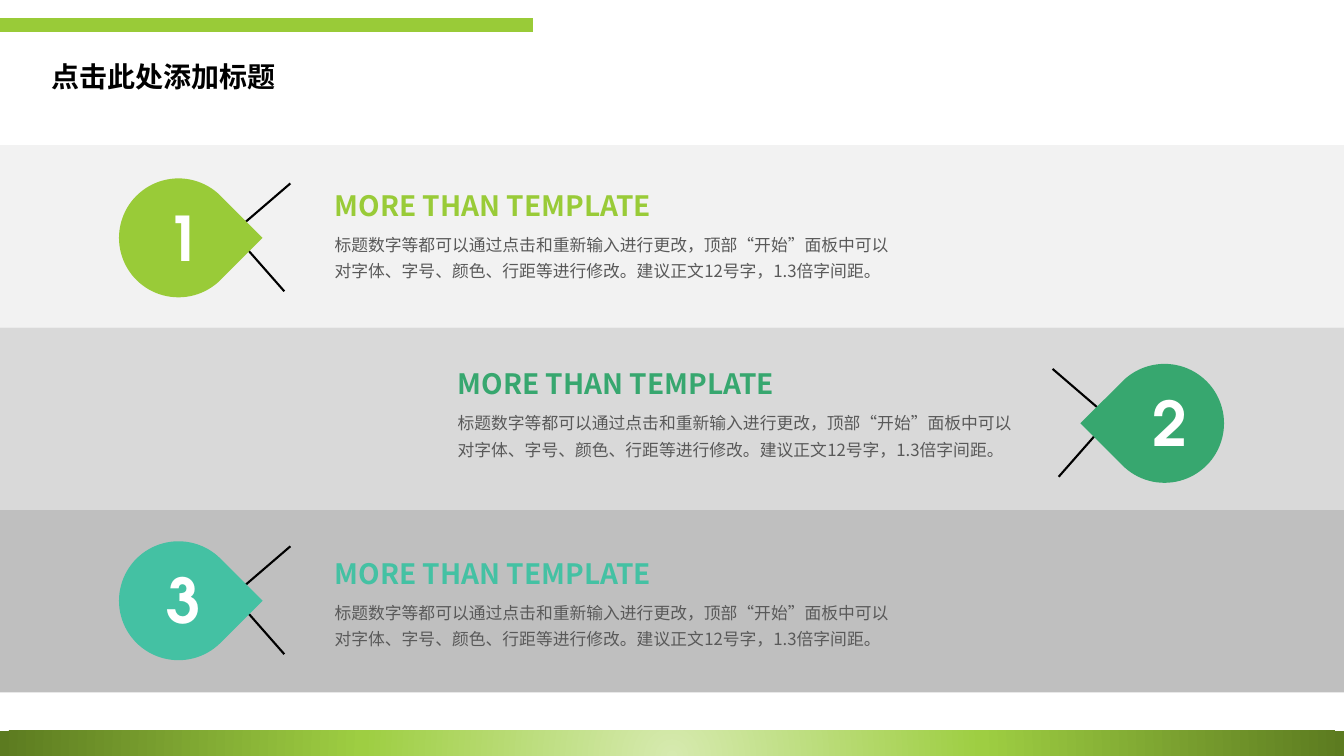
import pptx
import pptx.util
import pptx.dml.color
import pptx.enum.shapes
import pptx.enum.text
import pptx.oxml
import pptx.oxml.ns
from lxml import etree

RGB = pptx.dml.color.RGBColor
Inches, Pt = pptx.util.Inches, pptx.util.Pt
SHAPE = pptx.enum.shapes.MSO_SHAPE
ANCHOR = pptx.enum.text.MSO_ANCHOR
qn = pptx.oxml.ns.qn

LIME = RGB(0x99, 0xCB, 0x38)
GREEN = RGB(0x37, 0xA7, 0x6F)
TEAL = RGB(0x44, 0xC1, 0xA3)
BLACK = RGB(0, 0, 0)
WHITE = RGB(255, 255, 255)
GREY = RGB(0x59, 0x59, 0x59)
SANS, ROUND = "Noto Sans CJK SC", "TeX Gyre Adventor"

TITLE = "点击此处添加标题"
HEADING = "MORE THAN TEMPLATE"
BODY = ("标题数字等都可以通过点击和重新输入进行更改，顶部“开始”面板中可以"
        "对字体、字号、颜色、行距等进行修改。建议正文12号字，1.3倍字间距。")
ROWS = [
    dict(color=LIME, band=RGB(0xF2, 0xF2, 0xF2), side=1, pin=0.92, text=0.38),
    dict(color=GREEN, band=RGB(0xD9, 0xD9, 0xD9), side=-1, pin=0.95, text=0.34),
    dict(color=TEAL, band=RGB(0xBF, 0xBF, 0xBF), side=1, pin=0.9, text=0.41),
]
PIN_X = {1: 1.77, -1: 11.55}
TEXT_X = {1: 3.22, -1: 4.44}
RAYS = [(0.57, -0.49), (0.51, 0.58)]
GRADIENT = [(0, "D6EAAF"), (46, "9ECE42"), (100, "5C7B20")]
W, H = 13.33, 7.5
BAND_TOP, BAND_H, PIN = 1.44, 1.81, 1.18

prs = pptx.Presentation()
prs.slide_width, prs.slide_height = Inches(W), Inches(H)
s = prs.slides.add_slide(prs.slide_layouts[5])


def add_shape(kind, x, y, w, h, color):
    sp = s.shapes.add_shape(kind, Inches(x), Inches(y), Inches(w), Inches(h))
    sp.shadow.inherit = False
    sp.fill.solid()
    sp.fill.fore_color.rgb = color
    sp.line.fill.background()
    return sp


def add_line(x1, y1, x2, y2, color, width):
    line = s.shapes.add_connector(pptx.enum.shapes.MSO_CONNECTOR.STRAIGHT,
                                  Inches(x1), Inches(y1), Inches(x2), Inches(y2))
    line.line.color.rgb = color
    line.line.width = Pt(width)
    etree.SubElement(line._element.spPr, qn("a:effectLst"))


def write(tf, text, size, font, color, bold=False, spacing=1.0):
    tf.word_wrap = True
    tf.auto_size = pptx.enum.text.MSO_AUTO_SIZE.NONE
    p = tf.paragraphs[0]
    r = p.add_run()
    r.text = text
    p.alignment = pptx.enum.text.PP_ALIGN.LEFT
    p.line_spacing = spacing
    p.font.name, p.font.size, p.font.bold = font, Pt(size), bold
    p.font.color.rgb = color
    for f in (p.font, r.font):
        f.name, f.size, f.bold = font, Pt(size), bold
        f.color.rgb = color
    etree.SubElement(r._r.get_or_add_rPr(), qn("a:ea")).set("typeface", font)


def add_text(x, y, w, h, *style, **options):
    tf = s.shapes.add_textbox(Inches(x), Inches(y), Inches(w), Inches(h)).text_frame
    write(tf, *style, **options)
    return tf


add_line(0, 0.25, 5.29, 0.25, LIME, 10)

footer = add_shape(SHAPE.RECTANGLE, 0, 7.25, W, H - 7.25, LIME)
stops = "".join(f'<a:gs pos="{pos * 1000}"><a:srgbClr val="{color}"/></a:gs>'
                for pos, color in GRADIENT)
grad = pptx.oxml.parse_xml(
    f'<a:gradFill {pptx.oxml.ns.nsdecls("a")} rotWithShape="1"><a:gsLst>{stops}</a:gsLst>'
    '<a:path path="circle"><a:fillToRect l="50000" t="130000" r="50000" b="-30000"/>'
    '</a:path></a:gradFill>')
spPr = footer._element.spPr
spPr.replace(spPr.find(qn("a:solidFill")), grad)

title = s.shapes.title
title.left, title.top = Inches(0.41), Inches(0.49)
title.width, title.height = Inches(4.88), Inches(0.58)
title.text_frame.vertical_anchor = ANCHOR.MIDDLE
write(title.text_frame, TITLE, 20, SANS, BLACK, bold=True, spacing=0.9)

for i, row in enumerate(ROWS):
    top = BAND_TOP + i * BAND_H
    add_shape(SHAPE.RECTANGLE, 0, top, W, BAND_H, row["band"])

    side, color = row["side"], row["color"]
    cx, cy = PIN_X[side], top + row["pin"]
    x, y = cx + side * 0.54, cy - 0.05
    for dx, dy in RAYS:
        add_line(x, y, x + side * dx, y + dy, BLACK, 1.5)
    pin = add_shape(SHAPE.TEAR, cx - PIN / 2, cy - PIN / 2, PIN, PIN, color)
    pin.rotation = 45 if side > 0 else 225
    tf = add_text(cx - 0.12, cy - 0.43, 0.43, 0.84, str(i + 1), 44, ROUND, WHITE, bold=True)
    tf.margin_left = tf.margin_right = 0

    tx, ty = TEXT_X[side], top + row["text"]
    add_text(tx, ty, 4.76, 0.44, HEADING, 20, SANS, color, bold=True)
    add_text(tx, ty + 0.4, 5.85, 0.86, BODY, 12, SANS, GREY, spacing=1.3)

prs.save("out.pptx")
